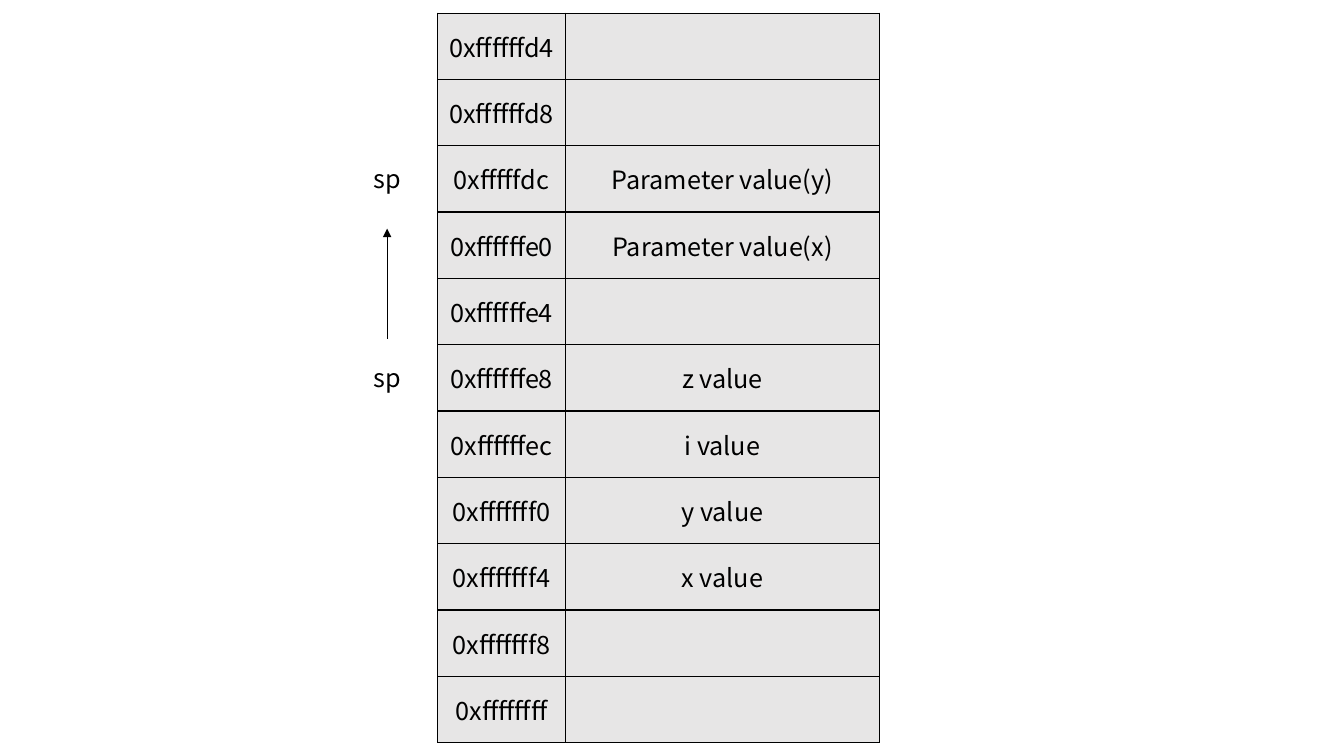
from lxml.etree import SubElement
from pptx import Presentation
from pptx.dml.color import RGBColor
from pptx.enum.shapes import MSO_CONNECTOR as Line
from pptx.enum.text import MSO_ANCHOR as Anchor, MSO_AUTO_SIZE as Fit, PP_ALIGN as Align
from pptx.oxml.ns import qn
from pptx.util import Inches, Pt

FONT = "Noto Sans CJK KR"
BLACK = RGBColor(0x00, 0x00, 0x00)
GRAY = RGBColor(0xE7, 0xE6, 0xE6)

STACK = [
    ("0xffffffd4", ""),
    ("0xffffffd8", ""),
    ("0xfffffdc", "Parameter value(y)"),
    ("0xffffffe0", "Parameter value(x)"),
    ("0xffffffe4", ""),
    ("0xffffffe8", "z value"),
    ("0xffffffec", "i value"),
    ("0xfffffff0", "y value"),
    ("0xfffffff4", "x value"),
    ("0xfffffff8", ""),
    ("0xffffffff", ""),
]
LEFT, TOP = Inches(4.34), Inches(0.13)
COLS = Inches(1.27), Inches(3.11)
ROW = Inches(7.24) // len(STACK)
MARK_X = Inches(3.84)
MARK_W, MARK_H = Inches(1), Inches(0.4)


def row_y(row):
    """Height on the slide of a row number, which may be a fraction."""
    return TOP + round(row * ROW)


def write(frame, text):
    par = frame.paragraphs[0]
    par.alignment = Align.CENTER
    run = par.add_run()
    run.text = text
    run.font.name = FONT
    run.font.size = Pt(18)
    run.font.color.rgb = BLACK


def style_cell(cell):
    """Give a cell thin black borders and a gray fill."""
    props = cell._tc.get_or_add_tcPr()
    for side in ("lnL", "lnR", "lnT", "lnB"):
        edge = SubElement(props, qn(f"a:{side}"), w=str(Pt(1)))
        fill = SubElement(edge, qn("a:solidFill"))
        SubElement(fill, qn("a:srgbClr"), val=str(BLACK))
    cell.fill.solid()
    cell.fill.fore_color.rgb = GRAY
    cell.vertical_anchor = Anchor.MIDDLE


def add_stack(slide):
    size = len(STACK), len(COLS)
    table = slide.shapes.add_table(*size, LEFT, TOP, sum(COLS), ROW * len(STACK)).table
    table.first_row = table.horz_banding = False
    for col, width in zip(table.columns, COLS):
        col.width = width
    for row, texts in zip(table.rows, STACK):
        row.height = ROW
        for cell, text in zip(row.cells, texts):
            style_cell(cell)
            if text:
                write(cell.text_frame, text)


def add_mark(slide, row):
    """Label a stack row as the place of the stack pointer."""
    top = row_y(row + 0.5) - MARK_H // 2
    box = slide.shapes.add_textbox(MARK_X - MARK_W // 2, top, MARK_W, MARK_H)
    frame = box.text_frame
    frame.word_wrap = True
    frame.auto_size = Fit.SHAPE_TO_FIT_TEXT
    write(frame, "sp")


def add_arrow(slide, start, end):
    line = slide.shapes.add_connector(
        Line.STRAIGHT, MARK_X, row_y(start), MARK_X, row_y(end))
    line.line.color.rgb = BLACK
    line.line.width = Pt(0.5)
    SubElement(line.line._get_or_add_ln(), qn("a:tailEnd"), type="triangle")
    SubElement(line._element.spPr, qn("a:effectLst"))


def main():
    deck = Presentation()
    deck.slide_width, deck.slide_height = Inches(13.33), Inches(7.5)
    slide = deck.slides.add_slide(deck.slide_layouts[6])
    add_stack(slide)
    for row in (5, 2):
        add_mark(slide, row)
    add_arrow(slide, 4.91, 3.25)
    deck.save("out.pptx")


if __name__ == "__main__":
    main()
